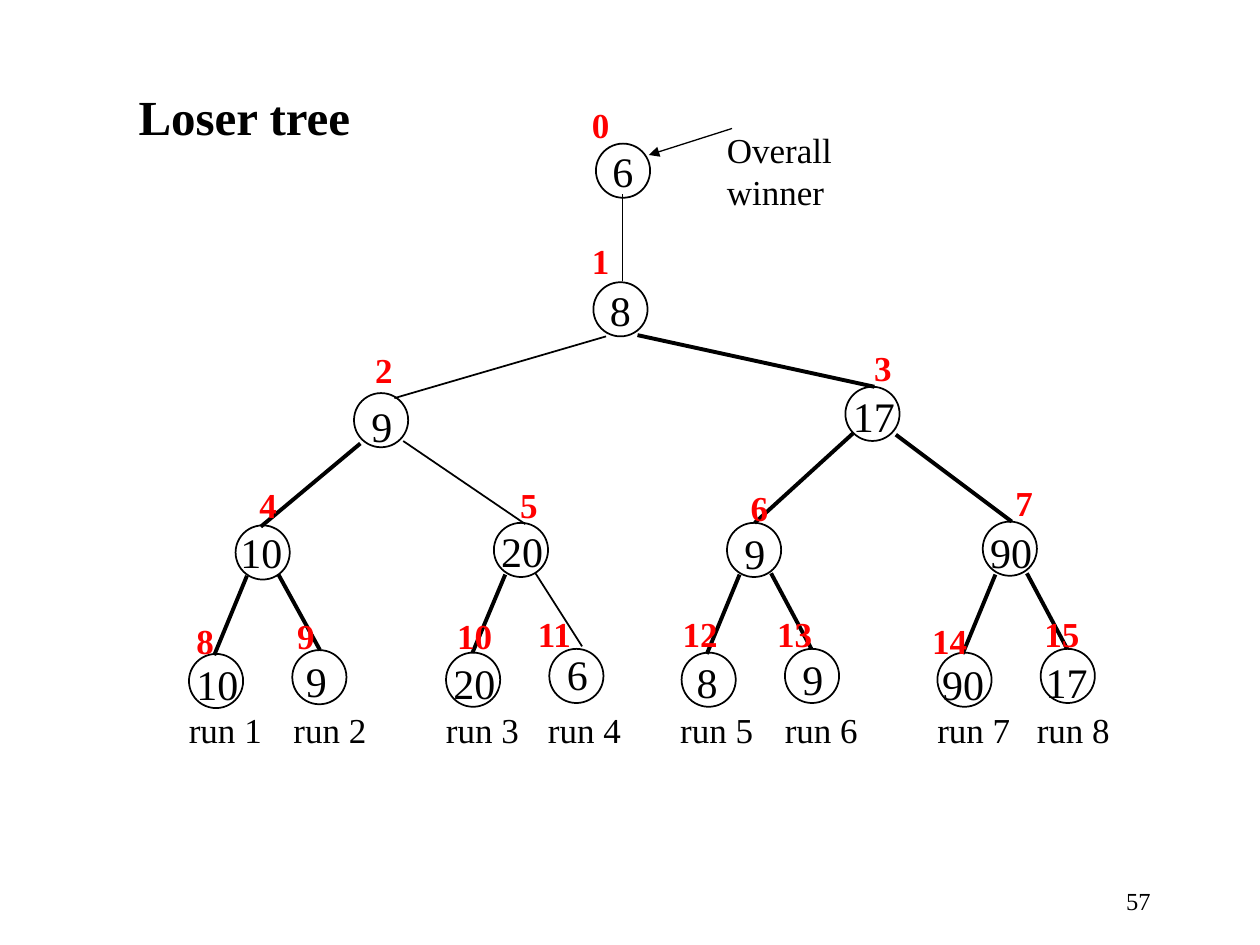
from dataclasses import dataclass
from typing import Optional

from lxml import etree
from pptx import Presentation
from pptx.dml.color import RGBColor
from pptx.enum import shapes, text
from pptx.oxml.ns import qn
from pptx import util as u

PX_PER_INCH = 100
EMU_PER_PX = 914400 // PX_PER_INCH
NODE_SIZE = 43
RUN_TOP = 557


@dataclass(frozen=True)
class Theme:
    font: str = "Times New Roman"
    ink: RGBColor = RGBColor(0, 0, 0)
    index: RGBColor = RGBColor(255, 0, 0)
    title_pt: int = 28
    value_pt: int = 24
    label_pt: int = 20
    number_pt: int = 14
    thin_pt: float = 0.75
    line_pt: float = 1
    thick_pt: float = 2.25


@dataclass(frozen=True)
class Node:
    value: str
    circle: tuple[int, int]
    index_at: tuple[int, int]
    value_at: Optional[tuple[int, int]] = None


@dataclass(frozen=True)
class Edge:
    start: tuple[int, int]
    end: tuple[int, int]
    width: float
    arrow: bool = False


THEME = Theme()

NODES = [
    Node("6", (473, 114), (460, 77)),
    Node("8", (471, 224), (460, 185)),
    Node("9", (281, 312), (288, 272), (285, 313)),
    Node("17", (671, 307), (684, 270), (667, 305)),
    Node("10", (187, 417), (196, 379), (181, 413)),
    Node("20", (392, 415), (403, 379), (388, 412)),
    Node("9", (577, 415), (586, 381), (581, 414)),
    Node("90", (780, 414), (796, 377), (776, 413)),
    Node("10", (150, 519), (146, 487), (146, 518)),
    Node("9", (232, 516), (226, 483), (233, 515)),
    Node("20", (354, 518), (353, 483), (350, 517)),
    Node("6", (436, 515), (417, 481), (440, 510)),
    Node("8", (541, 518), (532, 481), (543, 516)),
    Node("9", (623, 515), (607, 481), (627, 514)),
    Node("90", (744, 518), (730, 487), (738, 518)),
    Node("17", (826, 515), (819, 481), (820, 516)),
]

EDGES = [
    Edge((494, 223), (494, 154), THEME.thin_pt),
    Edge((581, 102), (515, 123), THEME.thin_pt, arrow=True),
    Edge((481, 267), (313, 316), THEME.line_pt),
    Edge((506, 266), (694, 307), THEME.thick_pt),
    Edge((286, 352), (207, 418), THEME.thick_pt),
    Edge((320, 350), (417, 416), THEME.line_pt),
    Edge((677, 344), (599, 415), THEME.thick_pt),
    Edge((711, 345), (803, 414), THEME.thick_pt),
    Edge((196, 457), (170, 520), THEME.thick_pt),
    Edge((221, 456), (254, 516), THEME.thick_pt),
    Edge((401, 456), (375, 518), THEME.thick_pt),
    Edge((425, 455), (462, 513), THEME.line_pt),
    Edge((587, 456), (561, 519), THEME.thick_pt),
    Edge((612, 455), (644, 515), THEME.thick_pt),
    Edge((790, 456), (764, 519), THEME.thick_pt),
    Edge((815, 455), (847, 515), THEME.thick_pt),
]

RUN_LEFTS = [140, 223, 344, 425, 530, 613, 734, 813]


def px(n: int) -> u.Emu:
    return u.Emu(n * EMU_PER_PX)


def write(sp, content: str, *, size: float, color: RGBColor = THEME.ink,
          bold: bool = False, align=text.PP_ALIGN.LEFT,
          anchor=text.MSO_ANCHOR.TOP, wrap: bool = False) -> None:
    tf = sp.text_frame
    tf.text = content
    tf.word_wrap = wrap
    tf.auto_size = text.MSO_AUTO_SIZE.NONE
    tf.vertical_anchor = anchor
    for p in tf.paragraphs:
        p.alignment = align
        for r in p.runs:
            r.font.name = THEME.font
            r.font.size = u.Pt(size)
            r.font.bold = bold
            r.font.color.rgb = color


def add_text(s, content: str, at: tuple[int, int], extent: tuple[int, int], **style) -> None:
    write(s.shapes.add_textbox(*map(px, (*at, *extent))), content, **style)


def add_edge(s, edge: Edge) -> None:
    c = s.shapes.add_connector(shapes.MSO_CONNECTOR.STRAIGHT,
                               *map(px, (*edge.start, *edge.end)))
    c.line.color.rgb = THEME.ink
    c.line.width = u.Pt(edge.width)
    sp_pr = c._element.spPr
    if edge.arrow:
        etree.SubElement(sp_pr.find(qn("a:ln")), qn("a:tailEnd"), type="triangle")
    etree.SubElement(sp_pr, qn("a:effectLst"))


def add_node(s, node: Node) -> None:
    sp = s.shapes.add_shape(shapes.MSO_SHAPE.OVAL,
                            *map(px, (*node.circle, NODE_SIZE, NODE_SIZE)))
    sp.shadow.inherit = False
    sp.fill.background()
    sp.line.color.rgb = THEME.ink
    sp.line.width = u.Pt(THEME.line_pt)
    if node.value_at is None:
        write(sp, node.value, size=THEME.value_pt,
              align=text.PP_ALIGN.CENTER, anchor=text.MSO_ANCHOR.MIDDLE)
    else:
        width = 20 + 17 * len(node.value)
        add_text(s, node.value, node.value_at, (width, 50), size=THEME.value_pt)


def add_index(s, index: int, node: Node) -> None:
    label = str(index)
    add_text(s, label, node.index_at, (20 + 14 * len(label), 44),
             size=THEME.label_pt, color=THEME.index, bold=True)


def main() -> None:
    prs = Presentation()
    prs.slide_width, prs.slide_height = px(1000), px(750)
    s = prs.slides.add_slide(prs.slide_layouts[5])

    title = s.shapes.title
    title.left, title.top, title.width, title.height = map(px, (100, 64, 189, 57))
    write(title, "Loser tree", size=THEME.title_pt, bold=True)

    for edge in EDGES:
        add_edge(s, edge)
    for node in NODES:
        add_node(s, node)
    for index, node in enumerate(NODES):
        add_index(s, index, node)
    for number, left in enumerate(RUN_LEFTS, 1):
        add_text(s, f"run {number}", (left, RUN_TOP), (78, 43), size=THEME.label_pt)

    add_text(s, "Overall\nwinner", (567, 97), (103, 77), size=THEME.label_pt)
    add_text(s, "57", (715, 698), (208, 50), size=THEME.number_pt,
             align=text.PP_ALIGN.RIGHT, wrap=True)
    prs.save("out.pptx")


if __name__ == "__main__":
    main()
